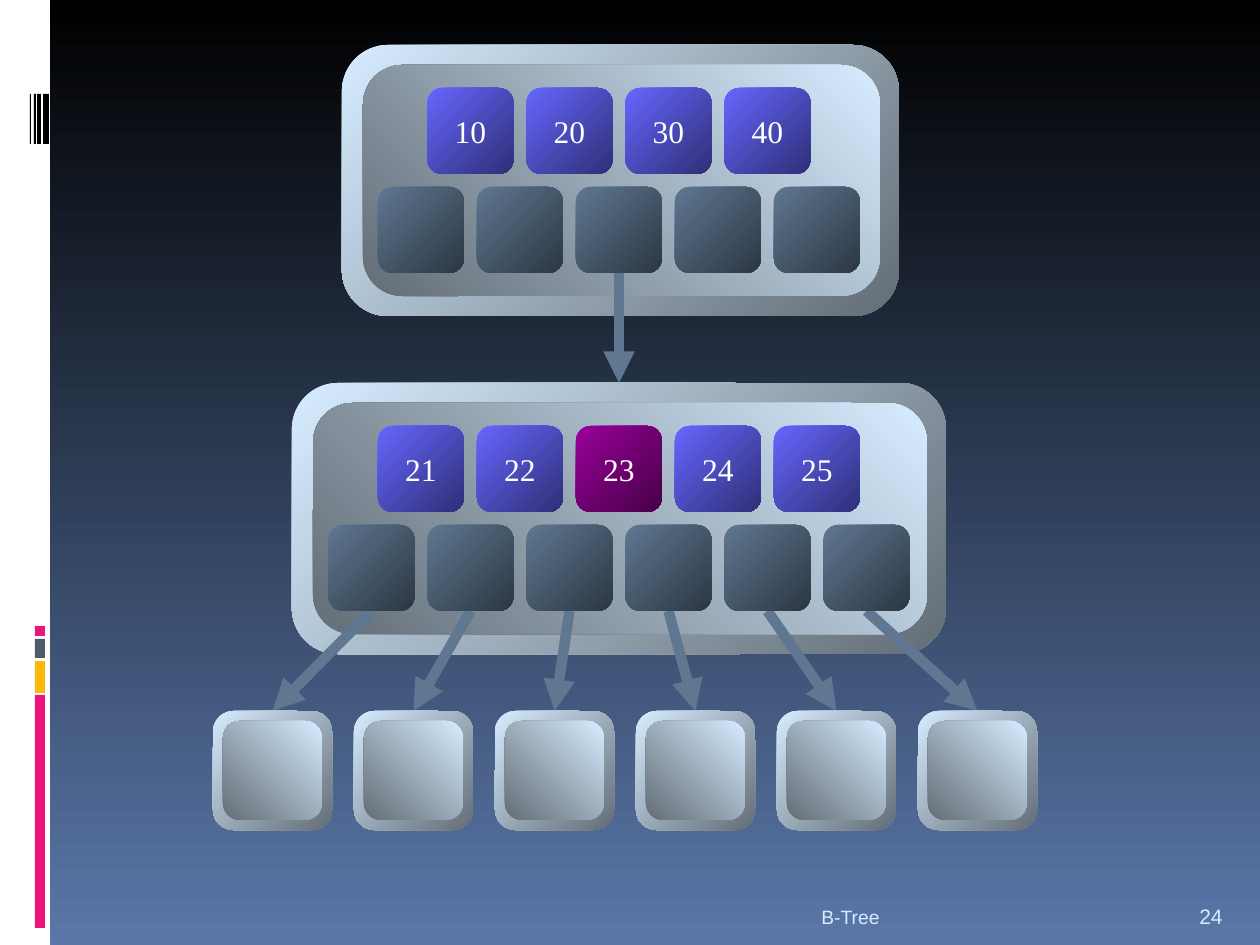
from dataclasses import dataclass

from lxml.etree import SubElement
from pptx import Presentation
from pptx.dml.color import RGBColor
from pptx.enum.shapes import MSO_CONNECTOR as Connector, MSO_SHAPE as Shape
from pptx.enum.text import MSO_ANCHOR as Anchor, PP_ALIGN as Align
from pptx.oxml.ns import qn
from pptx.util import Pt


@dataclass(frozen=True)
class Theme:
    background: tuple = ("000000", "5A77A9", 90)
    frame: tuple = ("D6ECFF", "636D76", 45)
    panel: tuple = ("636D76", "D6ECFF", 315)
    key: tuple = ("6666FF", "2F2F76", 45)
    new_key: tuple = ("990099", "470047", 45)
    pointer: tuple = ("5F7791", "2C3743", 45)
    arrow: str = "5F7791"
    key_text: str = "FFFFFF"
    footer_text: str = "D6ECFF"
    key_font: str = "Times New Roman"
    footer_font: str = "Arial"
    key_size: int = 18
    footer_size: int = 11
    number_size: int = 12
    arrow_width: int = 6


THEME = Theme()
EMU_PER_PX = 914400 / 126
SLIDE_SIZE = (1260, 945)

ROOT = dict(keys=["10", "20", "30", "40"], frame=(342, 45, 557, 271))
CHILD = dict(keys=["21", "22", "23", "24", "25"], frame=(292, 383, 654, 271))
NEW_KEY = "23"

SIDEBAR = [
    ((0, 0, 50, 945), "FFFFFF"),
    ((35, 695, 10, 233), "EA157A"),
    ((35, 661, 10, 32), "FEB80A"),
    ((35, 639, 10, 19), "4E5B6F"),
    ((35, 626, 10, 10), "EA157A"),
    ((43, 94, 6, 50), "000000"),
    ((37, 94, 4, 50), "000000"),
    ((34, 94, 2, 50), "000000"),
    ((30, 94, 1, 50), "000000"),
]
FOOTERS = [
    ("B-Tree", (126, 885, 766, 50), THEME.footer_size, Align.RIGHT),
    ("24", (1187, 885, 63, 50), THEME.number_size, Align.LEFT),
]

CENTRE = 619
CELL, PITCH = 86, 99
KEY_DROP, POINTER_DROP = 43, 142
NODE_INSET = (21, 20)
LEAF_LEFT, LEAF_TOP, LEAF, LEAF_PITCH = 213, 711, 119, 141
LEAF_INSET = (10, 10)
CORNER = 0.17


def emu(*lengths):
    return [round(length * EMU_PER_PX) for length in lengths]


def paint(fill, start, end, clockwise):
    fill.gradient()
    fill.gradient_angle = 360 - clockwise
    for stop, colour in zip(fill.gradient_stops, (start, end)):
        stop.color.rgb = RGBColor.from_string(colour)


def add_block(slide, box, colours, preset=Shape.ROUNDED_RECTANGLE):
    block = slide.shapes.add_shape(preset, *emu(*box))
    block.shadow.inherit = False
    block.line.fill.background()
    if isinstance(colours, str):
        block.fill.solid()
        block.fill.fore_color.rgb = RGBColor.from_string(colours)
    else:
        paint(block.fill, *colours)
        block.adjustments[0] = CORNER
    return block


def write(frame, words, align, font, size, colour):
    paragraph = frame.paragraphs[0]
    paragraph.alignment = align
    run = paragraph.add_run()
    run.text = words
    run.font.name = font
    run.font.size = Pt(size)
    run.font.color.rgb = RGBColor.from_string(colour)


def add_arrow(slide, start, end):
    arrow = slide.shapes.add_connector(Connector.STRAIGHT, *emu(*start, *end))
    arrow.line.color.rgb = RGBColor.from_string(THEME.arrow)
    arrow.line.width = Pt(THEME.arrow_width)
    SubElement(arrow.line._get_or_add_ln(), qn("a:tailEnd"), type="triangle")
    SubElement(arrow._element.spPr, qn("a:effectLst"))


def add_framed(slide, box, inset):
    left, top, width, height = box
    dx, dy = inset
    add_block(slide, box, THEME.frame)
    add_block(slide, (left + dx, top + dy, width - 2 * dy, height - 2 * dy), THEME.panel)


def row_boxes(count, top):
    first = CENTRE - ((count - 1) * PITCH + CELL) / 2
    return [(first + i * PITCH, top, CELL, CELL) for i in range(count)]


def bottom_centre(box):
    left, top, width, height = box
    return left + width / 2, top + height


def top_centre(box):
    left, top, width, _ = box
    return left + width / 2, top


def add_node(slide, node):
    top = node["frame"][1]
    add_framed(slide, node["frame"], NODE_INSET)
    for key, box in zip(node["keys"], row_boxes(len(node["keys"]), top + KEY_DROP)):
        cell = add_block(slide, box, THEME.new_key if key == NEW_KEY else THEME.key)
        cell.text_frame.word_wrap = False
        cell.text_frame.vertical_anchor = Anchor.MIDDLE
        write(cell.text_frame, key, Align.CENTER, THEME.key_font, THEME.key_size, THEME.key_text)
    return row_boxes(len(node["keys"]) + 1, top + POINTER_DROP)


def add_pointers(slide, pointers):
    for box in pointers:
        add_block(slide, box, THEME.pointer)


def main():
    deck = Presentation()
    deck.slide_width, deck.slide_height = emu(*SLIDE_SIZE)
    slide = deck.slides.add_slide(deck.slide_layouts[6])
    paint(slide.background.fill, *THEME.background)

    for box, colour in SIDEBAR:
        add_block(slide, box, colour, Shape.RECTANGLE)
    for words, box, size, align in FOOTERS:
        frame = slide.shapes.add_textbox(*emu(*box)).text_frame
        frame.word_wrap = True
        frame.vertical_anchor = Anchor.BOTTOM
        write(frame, words, align, THEME.footer_font, size, THEME.footer_text)

    child_pointers = add_node(slide, CHILD)
    for i, pointer in enumerate(child_pointers):
        leaf = (LEAF_LEFT + i * LEAF_PITCH, LEAF_TOP, LEAF, LEAF)
        add_arrow(slide, bottom_centre(pointer), top_centre(leaf))
        add_framed(slide, leaf, LEAF_INSET)
    add_pointers(slide, child_pointers)

    root_pointers = add_node(slide, ROOT)
    middle = root_pointers[len(root_pointers) // 2]
    add_arrow(slide, bottom_centre(middle), top_centre(CHILD["frame"]))
    add_pointers(slide, root_pointers)

    deck.save("out.pptx")


if __name__ == "__main__":
    main()
